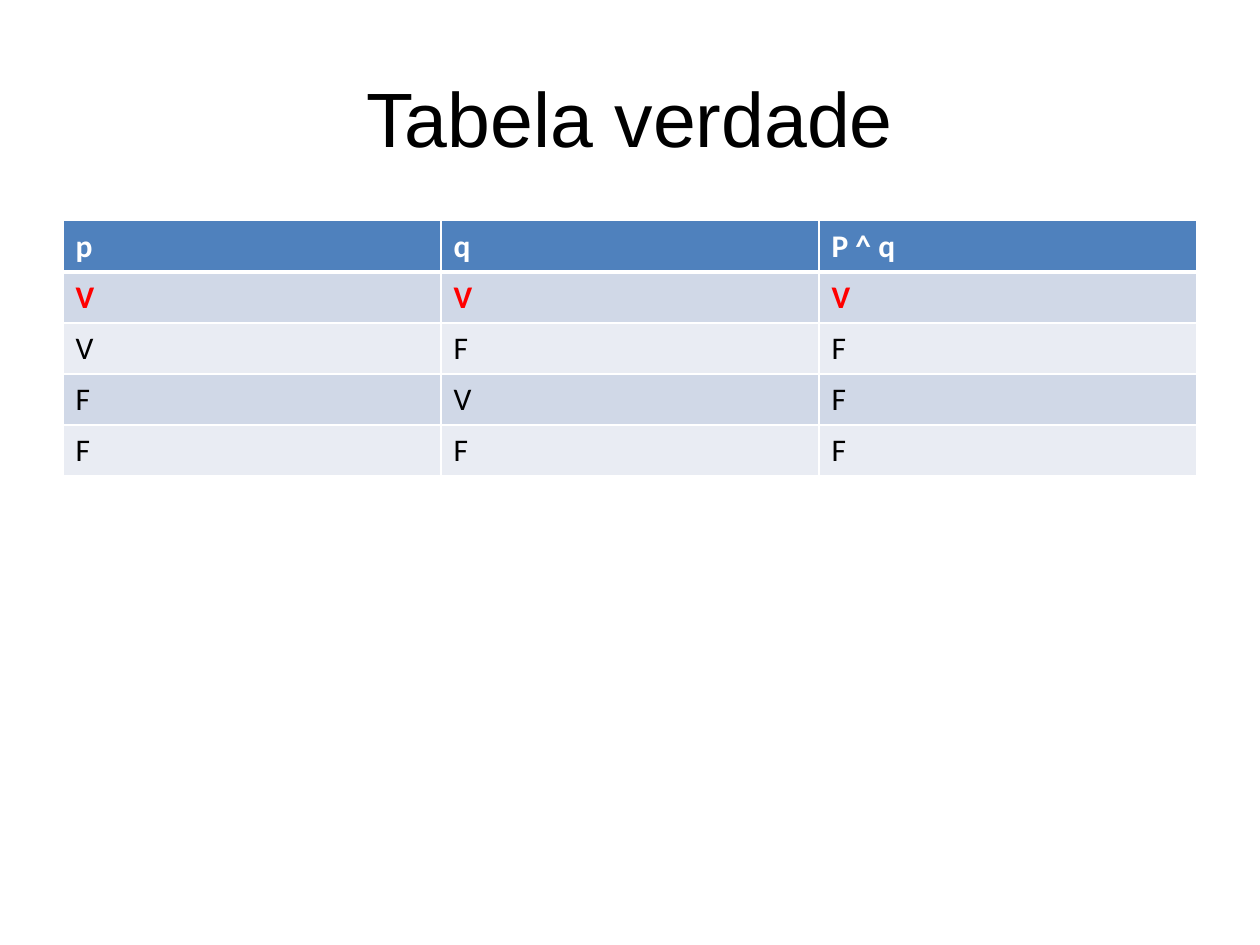
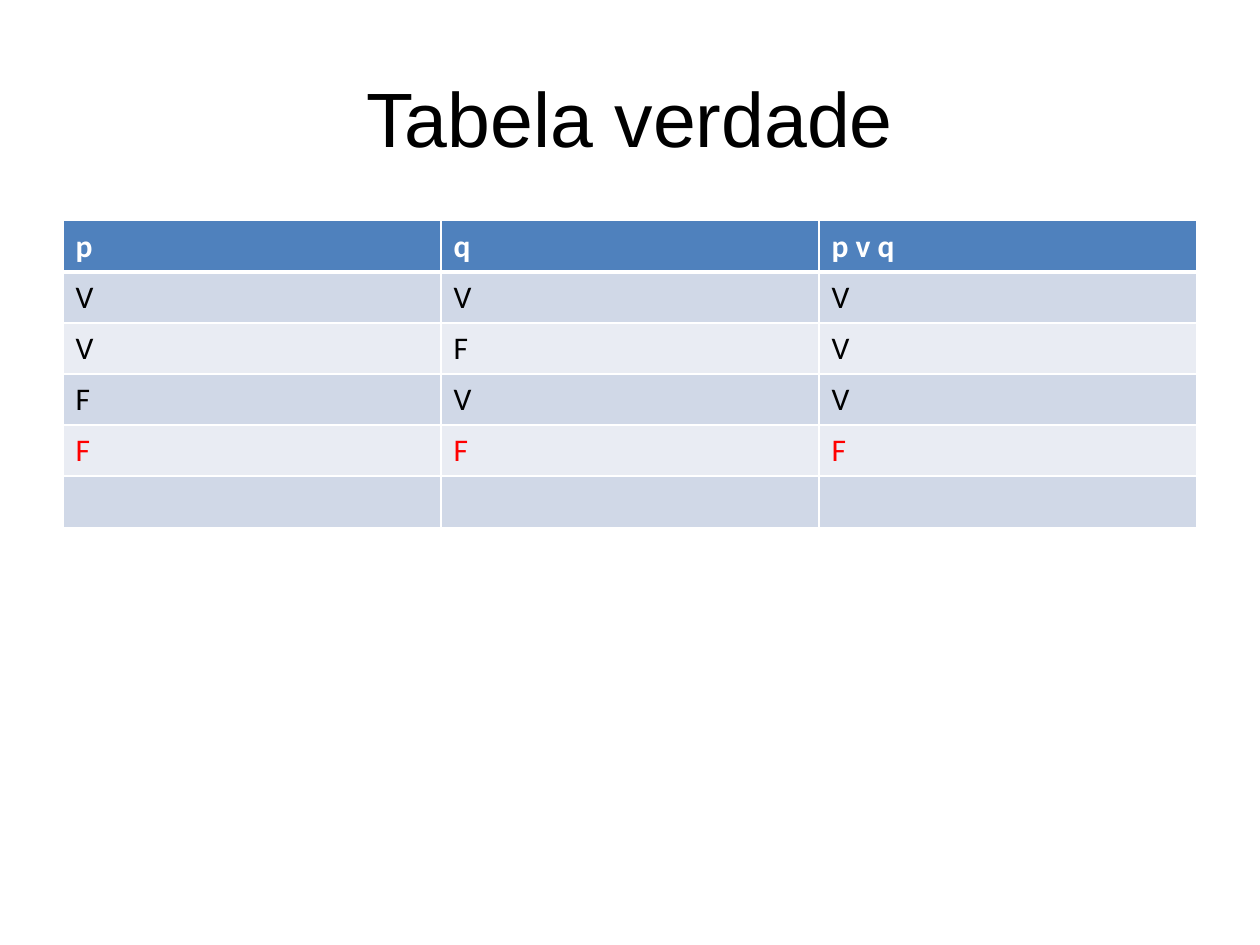
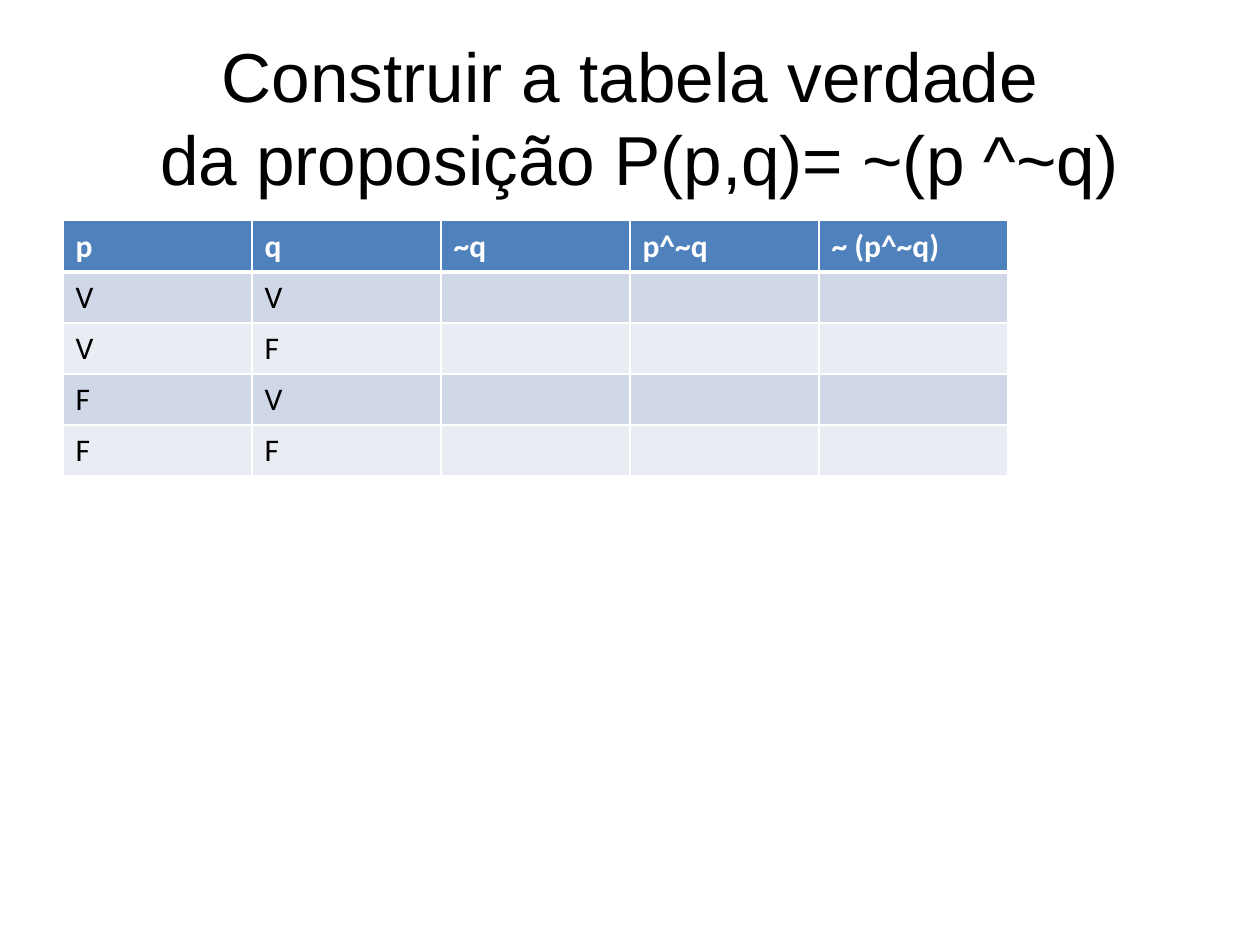
from lxml import etree
from pptx import Presentation
from pptx.dml.color import RGBColor
from pptx.enum.text import MSO_ANCHOR, PP_ALIGN
from pptx.oxml.ns import qn
from pptx.util import Cm, Pt

CENTER = PP_ALIGN.CENTER
MIDDLE = MSO_ANCHOR.MIDDLE

BLACK = RGBColor(0x00, 0x00, 0x00)
WHITE = RGBColor(0xFF, 0xFF, 0xFF)
RED = RGBColor(0xFF, 0x00, 0x00)
HEADER_BLUE = RGBColor(0x4F, 0x81, 0xBD)
BANDS = (RGBColor(0xD0, 0xD8, 0xE7), RGBColor(0xE9, 0xEC, 0xF3))

TITLE_FONT = "Arial"
TABLE_FONT = "Calibri"
MARGIN = Cm(1.27)
CONTENT_WIDTH = Cm(22.86)
TITLE_TOP = Cm(0.76)
TITLE_HEIGHT = Cm(3.18)
TABLE_TOP = Cm(4.45)
ROW_HEIGHT = Cm(1.03)
THIN = Pt(0.96)
THICK = Pt(3)


def style_paragraph(para, font_name, size, color, bold=False):
    para.font.name = font_name
    para.font.size = Pt(size)
    para.font.color.rgb = color
    para.font.bold = bold


def add_title(page, text, size=44):
    box = page.shapes.add_textbox(MARGIN, TITLE_TOP, CONTENT_WIDTH, TITLE_HEIGHT)
    frame = box.text_frame
    frame.word_wrap = True
    frame.vertical_anchor = MIDDLE
    para = frame.paragraphs[0]
    para.text = text
    para.alignment = CENTER
    style_paragraph(para, TITLE_FONT, size, BLACK)


def set_borders(cell, top, bottom):
    """Draw white cell borders; call before the fill, which must follow them in the XML."""
    properties = cell._tc.get_or_add_tcPr()
    widths = {"a:lnL": THIN, "a:lnR": THIN, "a:lnT": top, "a:lnB": bottom}
    for tag, width in widths.items():
        line = etree.SubElement(properties, qn(tag), w=str(int(width)))
        fill = etree.SubElement(line, qn("a:solidFill"))
        etree.SubElement(fill, qn("a:srgbClr"), val=str(WHITE))


def add_truth_table(page, headers, rows, column_width, red_row=None, red_bold=False):
    """Add a truth table; rows shorter than the header leave empty cells."""
    lines = [headers, *rows]
    table = page.shapes.add_table(
        len(lines), len(headers), MARGIN, TABLE_TOP,
        column_width * len(headers), ROW_HEIGHT * len(lines),
    ).table
    for row, values in enumerate(lines):
        is_header = row == 0
        is_red = row == red_row
        fill = HEADER_BLUE if is_header else BANDS[(row - 1) % 2]
        color = WHITE if is_header else RED if is_red else BLACK
        bold = is_header or (is_red and red_bold)
        for column in range(len(headers)):
            cell = table.cell(row, column)
            set_borders(cell, THICK if row == 1 else THIN, THICK if is_header else THIN)
            cell.fill.solid()
            cell.fill.fore_color.rgb = fill
            para = cell.text_frame.paragraphs[0]
            if column < len(values):
                para.text = values[column]
            style_paragraph(para, TABLE_FONT, 18, color, bold)


def main():
    deck = Presentation()
    deck.slide_width = Cm(25.4)
    deck.slide_height = Cm(19.05)
    blank = deck.slide_layouts[6]

    page = deck.slides.add_slide(blank)
    add_title(page, "Tabela verdade")
    add_truth_table(page, ["p", "q", "P ^ q"], ["VVV", "VFF", "FVF", "FFF"],
                    Cm(7.62), red_row=1, red_bold=True)

    page = deck.slides.add_slide(blank)
    add_title(page, "Tabela verdade")
    add_truth_table(page, ["p", "q", "p v q"], ["VVV", "VFV", "FVV", "FFF", ""],
                    Cm(7.62), red_row=4)

    page = deck.slides.add_slide(blank)
    add_title(page, "Construir a tabela verdade\n da proposição P(p,q)= ~(p ^~q)", 39.6)
    add_truth_table(page, ["p", "q", "~q", "p^~q", "~ (p^~q)"],
                    ["VV", "VF", "FV", "FF"], Cm(3.81))

    deck.save("out.pptx")


if __name__ == "__main__":
    main()
